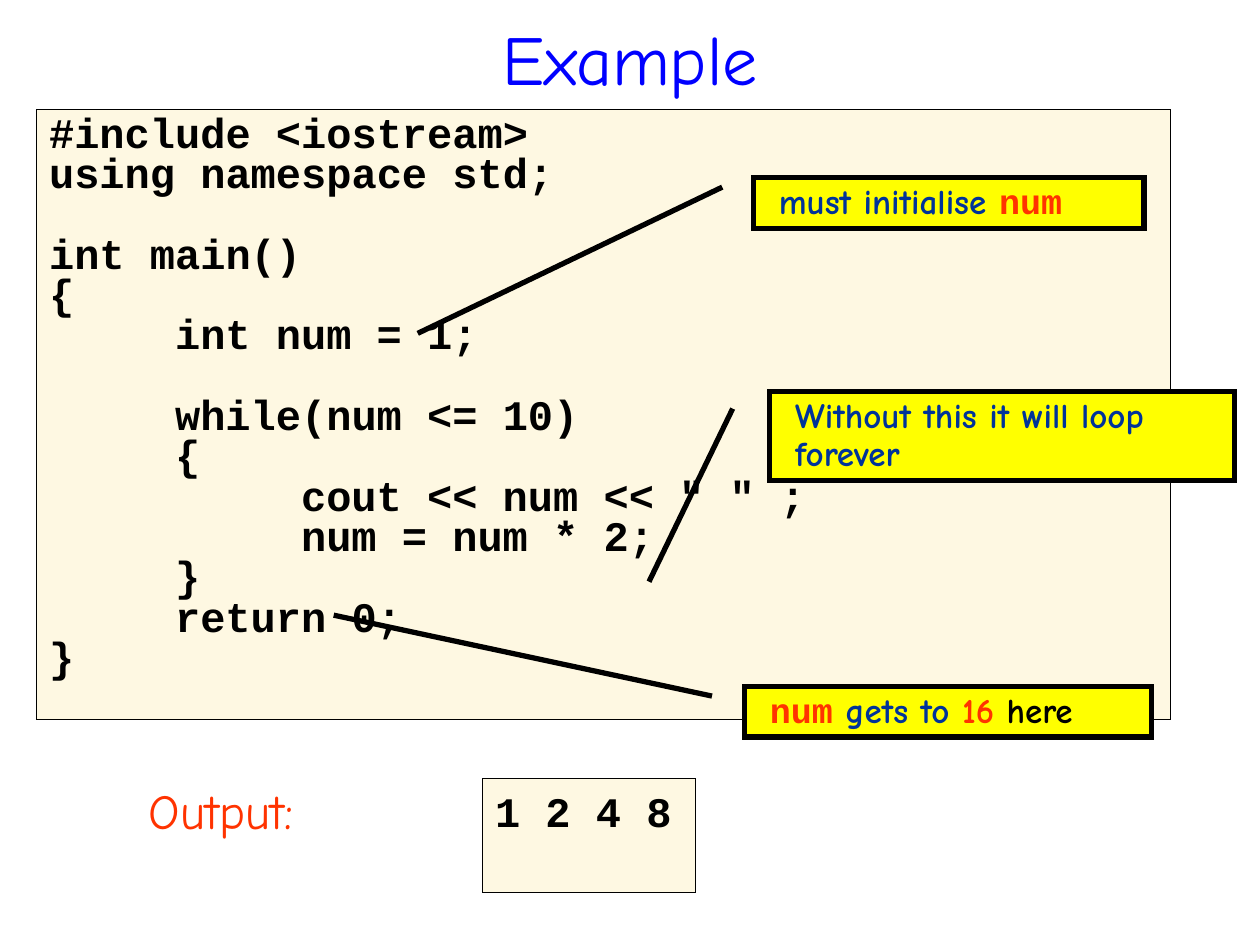
from typing import NamedTuple

from lxml.etree import SubElement
from pptx import Presentation
from pptx.dml.color import RGBColor
from pptx.enum.shapes import MSO_SHAPE as Shp
from pptx.enum.text import MSO_ANCHOR as Anchor, PP_ALIGN as Align
from pptx.oxml.ns import qn
from pptx.util import Cm, Pt

SANS, MONO = "Comic Neue", "Courier New"
BLACK, BLUE, NAVY, RED = "000000", "0000FF", "003399", "FF3300"
CREAM, YELLOW = "FEF8E2", "FFFF00"
CODE_LINE = Pt(23)  # height of one line of code
CODE_INDENT = Cm(2.54)  # one level of code

CODE = """#include <iostream>
using namespace std;

int main()
{
\tint num = 1;

\twhile(num <= 10)
\t{
\t\tcout << num << " " ;
\t\tnum = num * 2;
\t}
\treturn 0;
}"""


class Box(NamedTuple):
    """Left, top, width and height in centimetres."""
    x: float
    y: float
    w: float
    h: float


class Run(NamedTuple):
    text: str
    color: str = NAVY
    font: str = SANS
    size: float = 20
    bold: bool = True


class Callout(NamedTuple):
    box: Box
    tip: tuple[float, float]  # y and x of the pointer end, as shares of the box
    runs: list[Run]


CALLOUTS = [
    Callout(Box(15.01, 13.84, 8.2, 1.02), (-1.41, -1.01),
            [Run("num", RED, MONO), Run(" gets to "), Run("16 ", RED), Run("here", BLACK)]),
    Callout(Box(15.52, 7.9, 9.37, 1.78), (2.15, -0.26),
            [Run("Without this it will loop forever")]),
    Callout(Box(15.19, 3.58, 7.87, 1.02), (3.08, -0.86),
            [Run("must initialise "), Run("num", RED, MONO)]),
]


def rgb(value: str) -> RGBColor:
    return RGBColor.from_string(value)


def emu(box: Box) -> list[Cm]:
    return [Cm(v) for v in box]


def set_frame(sp, left: float = 0.25, anchor=Anchor.TOP):
    """Prepare the text frame of a shape and return it."""
    tf = sp.text_frame
    tf.word_wrap = True
    tf.vertical_anchor = anchor
    tf.margin_left, tf.margin_right = Cm(left), Cm(0.25)
    tf.margin_top = tf.margin_bottom = Cm(0.13)
    return tf


def add_runs(p, runs: list[Run], align=Align.LEFT, spacing: float = 1.0) -> None:
    p.alignment, p.line_spacing = align, spacing
    for run in runs:
        r = p.add_run()
        r.text = run.text
        r.font.name, r.font.size, r.font.bold = run.font, Pt(run.size), run.bold
        r.font.color.rgb = rgb(run.color)


def add_panel(s, box: Box, fill: str, line: float, kind=Shp.RECTANGLE):
    sp = s.shapes.add_shape(kind, *emu(box))
    sp.shadow.inherit = False
    sp.fill.solid()
    sp.fill.fore_color.rgb = rgb(fill)
    sp.line.color.rgb = rgb(BLACK)
    sp.line.width = Pt(line)
    # Sharp corners
    SubElement(sp.line._get_or_add_ln(), qn("a:miter"), lim="800000")
    return sp


def add_label(s, box: Box, run: Run, left: float, anchor=Anchor.TOP, align=Align.LEFT) -> None:
    tf = set_frame(s.shapes.add_textbox(*emu(box)), left, anchor)
    add_runs(tf.paragraphs[0], [run], align)


def add_code(s, box: Box, code: str, spacing: float) -> None:
    """Draw code one paragraph a line; an empty line becomes space before the next."""
    tf = set_frame(add_panel(s, box, CREAM, 0.75))
    p, gap = tf.paragraphs[0], 0
    for i, line in enumerate(code.split("\n")):
        if not line:
            gap = CODE_LINE
            continue
        if i:
            p = tf.add_paragraph()
        add_runs(p, [Run(line.lstrip("\t"), BLACK, MONO, 24)], spacing=spacing)
        p._p.get_or_add_pPr().set("marL", str(line.count("\t") * CODE_INDENT))
        p.space_before, gap = gap, 0


def add_callout(s, callout: Callout) -> None:
    sp = add_panel(s, callout.box, YELLOW, 3, Shp.LINE_CALLOUT_1)
    for i, value in enumerate((0.19, -0.08, *callout.tip)):
        sp.adjustments[i] = value
    add_runs(set_frame(sp, 0.51).paragraphs[0], callout.runs, spacing=0.9)


def main() -> None:
    prs = Presentation()
    prs.slide_width, prs.slide_height = Cm(25.4), Cm(19.05)
    s = prs.slides.add_slide(prs.slide_layouts[6])

    # Title
    add_label(s, Box(1.27, 0.41, 22.86, 1.5), Run("Example", BLUE, SANS, 40, False),
              0.25, Anchor.MIDDLE, Align.CENTER)

    # Program and its notes
    add_code(s, Box(0.74, 2.21, 22.86, 12.29), CODE, 0.8)
    for callout in CALLOUTS:
        add_callout(s, callout)

    # Output
    add_code(s, Box(9.73, 15.7, 4.29, 2.29), "1 2 4 8", 1.0)
    add_label(s, Box(2.49, 15.6, 4.5, 1.45), Run("Output:", RED, SANS, 28, False), 0.51)

    prs.save("out.pptx")


if __name__ == "__main__":
    main()
